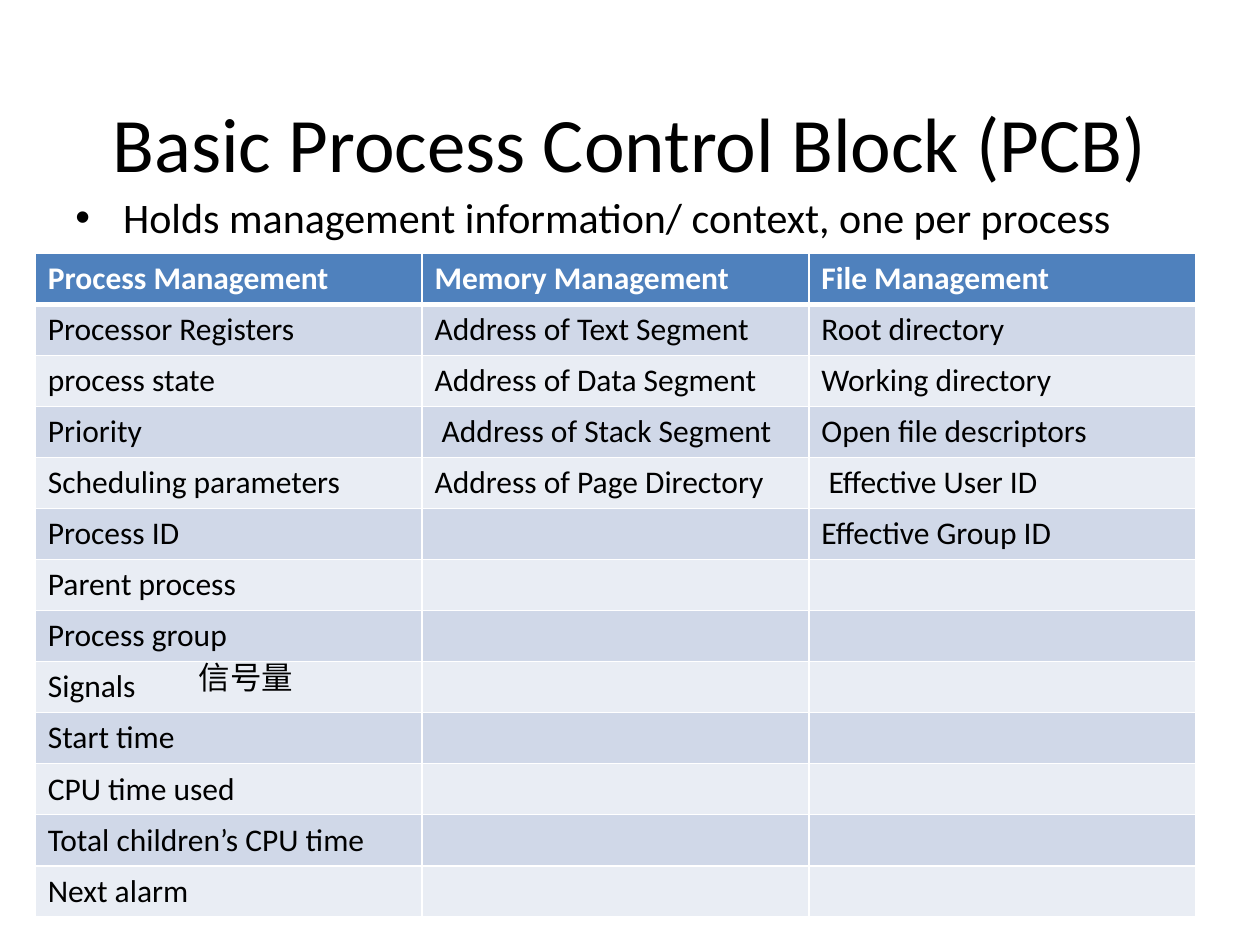
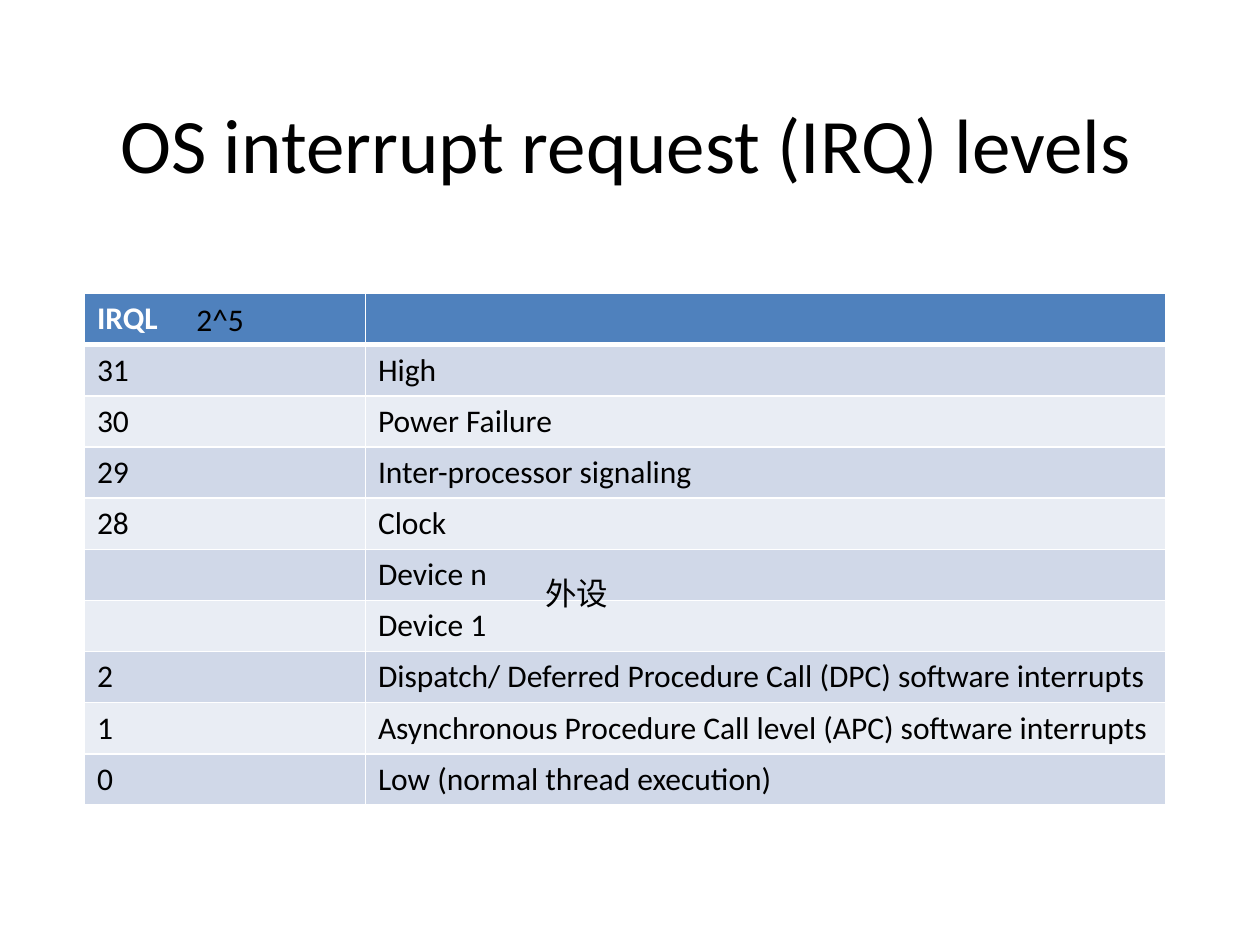
from dataclasses import dataclass

from lxml.etree import SubElement
from pptx import Presentation
from pptx.dml.color import RGBColor
from pptx.enum.text import MSO_ANCHOR as Anchor, PP_ALIGN as Align
from pptx.oxml.ns import qn
from pptx.slide import Slide
from pptx.table import _Cell as Cell
from pptx.text.text import TextFrame as Frame
from pptx.util import Inches, Pt

FONT = "Calibri"
BLACK, WHITE, BLUE = "000000", "FFFFFF", "4F81BD"
BANDS = ("D0D8E8", "E9EDF4")


@dataclass
class Grid:
    left: float
    top: float
    cols: tuple[float, ...]
    height: float
    cells: list[tuple[str, ...]]


@dataclass
class Note:
    text: str
    left: float
    top: float
    width: float


PCB = Grid(0.28, 2.01, (3.07,) * 3, 5.27, [
    ("Process Management", "Memory Management", "File Management"),
    ("Processor Registers", "Address of Text Segment", "Root directory"),
    ("process state", "Address of Data Segment", "Working directory"),
    ("Priority", " Address of Stack Segment", "Open file descriptors"),
    ("Scheduling parameters", "Address of Page Directory", " Effective User ID"),
    ("Process ID", "", "Effective Group ID"),
    ("Parent process",),
    ("Process group",),
    ("Signals",),
    ("Start time",),
    ("CPU time used",),
    ("Total children’s CPU time",),
    ("Next alarm",),
])

IRQ = Grid(0.67, 2.33, (2.23, 6.35), 4.06, [
    ("IRQL",),
    ("31", "High"),
    ("30", "Power Failure"),
    ("29", "Inter-processor signaling"),
    ("28", "Clock"),
    ("", "Device n"),
    ("", "Device 1"),
    ("2", "Dispatch/ Deferred Procedure Call (DPC) software interrupts"),
    ("1", "Asynchronous Procedure Call level (APC) software interrupts"),
    ("0", "Low (normal thread execution)"),
])


def color(code: str) -> RGBColor:
    return RGBColor.from_string(code)


def write(frame: Frame, text: str, *, size: float = 18, ink: str = BLACK,
          bold: bool = False, align: Align = Align.LEFT,
          bullet: bool = False) -> None:
    para = frame.paragraphs[0]
    para.alignment = align
    run = para.add_run()
    run.text = text
    font = run.font
    font.name, font.size, font.bold = FONT, Pt(size), bold
    font.color.rgb = color(ink)
    if bullet:
        para.space_before = Pt(size * 0.2)
        props = para._p.get_or_add_pPr()
        props.set("marL", str(Inches(0.38)))
        props.set("indent", str(-Inches(0.38)))
        SubElement(props, qn("a:buFont"), typeface="Arial")
        SubElement(props, qn("a:buChar"), char="•")


def add_box(slide: Slide, left: float, top: float, width: float,
            height: float) -> Frame:
    box = slide.shapes.add_textbox(
        Inches(left), Inches(top), Inches(width), Inches(height))
    box.text_frame.word_wrap = True
    return box.text_frame


def add_title(slide: Slide, text: str, left: float, top: float) -> None:
    frame = add_box(slide, left, top, 9, 1.25)
    frame.vertical_anchor = Anchor.MIDDLE
    write(frame, text, size=44, align=Align.CENTER)


def add_note(slide: Slide, note: Note) -> None:
    write(add_box(slide, note.left, note.top, note.width, 0.4), note.text)


def edge(cell: Cell, row: int) -> None:
    """Draw white borders, with a thick rule below the header row."""
    thick = {0: "lnB", 1: "lnT"}.get(row)
    props = cell._tc.get_or_add_tcPr()
    for side in ("lnL", "lnR", "lnT", "lnB"):
        width = Pt(3 if side == thick else 1)
        line = SubElement(props, qn(f"a:{side}"), w=str(width))
        fill = SubElement(line, qn("a:solidFill"))
        SubElement(fill, qn("a:srgbClr"), val=WHITE)


def add_grid(slide: Slide, grid: Grid) -> None:
    count = len(grid.cells)
    table = slide.shapes.add_table(
        count, len(grid.cols), Inches(grid.left), Inches(grid.top),
        Inches(sum(grid.cols)), Inches(grid.height)).table
    for col, width in zip(table.columns, grid.cols):
        col.width = Inches(width)
    for r, texts in enumerate(grid.cells):
        table.rows[r].height = Inches(grid.height / count)
        head = r == 0
        for c in range(len(grid.cols)):
            cell = table.cell(r, c)
            edge(cell, r)
            cell.fill.solid()
            cell.fill.fore_color.rgb = color(BLUE if head else BANDS[(r - 1) % 2])
            if c < len(texts) and texts[c]:
                write(cell.text_frame, texts[c], bold=head,
                      ink=WHITE if head else BLACK)


def main() -> None:
    deck = Presentation()
    deck.slide_width, deck.slide_height = Inches(10), Inches(7.5)
    blank = deck.slide_layouts[6]

    slide = deck.slides.add_slide(blank)
    add_title(slide, "Basic Process Control Block (PCB)", 0.5, 0.5)
    write(add_box(slide, 0.5, 1.47, 9, 1.06),
          "Holds management information/ context, one per process",
          size=24, bullet=True)
    add_grid(slide, PCB)
    add_note(slide, Note("信号量", 1.48, 5.17, 1.31))

    slide = deck.slides.add_slide(blank)
    add_title(slide, "OS interrupt request (IRQ) levels", 0.47, 0.51)
    add_grid(slide, IRQ)
    for note in (Note("2^5", 1.46, 2.33, 0.88), Note("外设", 4.23, 4.51, 1.4)):
        add_note(slide, note)

    deck.save("out.pptx")


if __name__ == "__main__":
    main()
